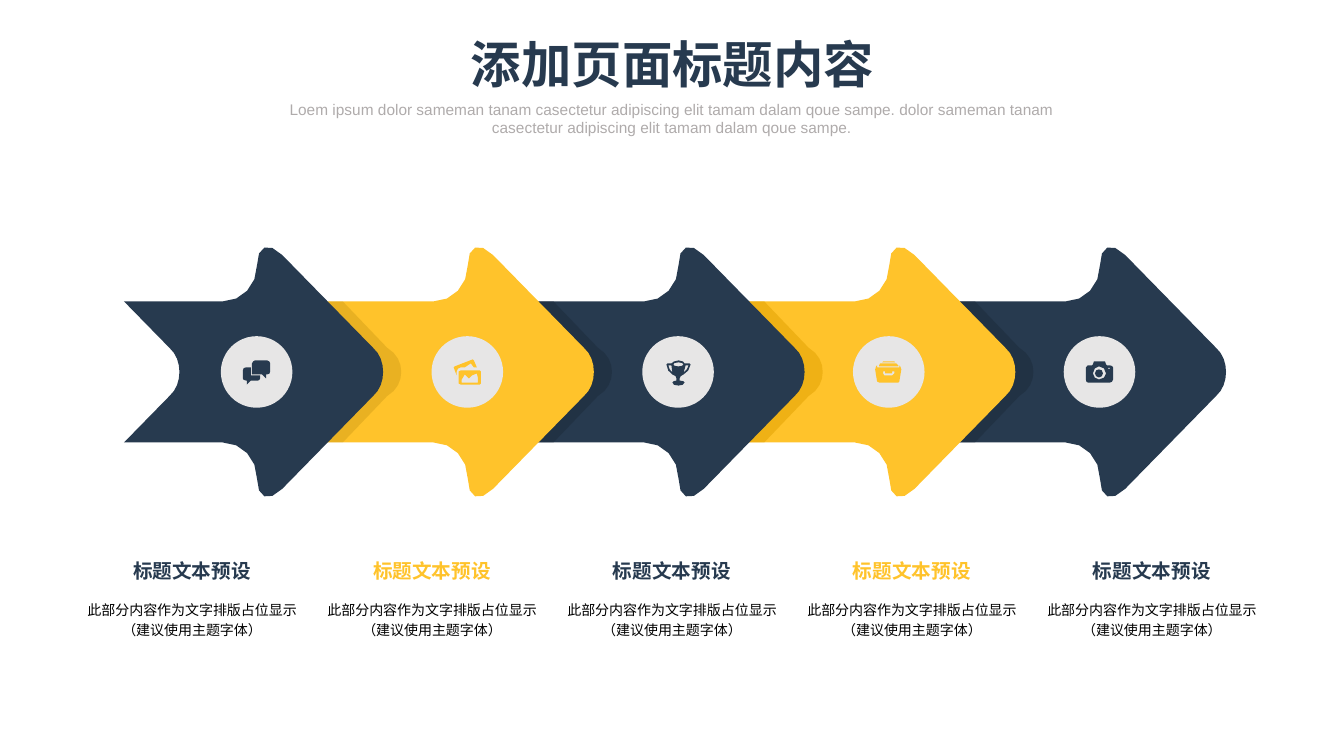
from dataclasses import dataclass
from math import dist

from lxml import etree
from pptx import Presentation
from pptx import util as u
from pptx.dml.color import RGBColor
from pptx.enum import shapes, text
from pptx.oxml.ns import qn


@dataclass(frozen=True)
class Theme:
    font: str = "Arial"
    navy: str = "273A4F"
    amber: str = "FFC32B"
    disc: str = "E7E6E6"
    muted: str = "AFABAB"
    body: str = "000000"
    title_size: int = 36
    intro_size: int = 11
    head_size: int = 14
    body_size: int = 10


THEME = Theme()
WIDTH, HEIGHT = 13.33, 7.5

# Grid: five arrows on a common axis, five caption columns
ARROW_LEFT, ARROW_PITCH, AXIS = 0.82, 2.09, 3.69
DISC_OFFSET, DISC_SIZE = 1.37, 0.71
COLUMN_LEFT, COLUMN_PITCH, COLUMN_WIDTH = 0.79, 2.38, 2.23
HEAD_TOP, HEAD_HEIGHT, BODY_HEIGHT = 5.51, 0.31, 0.63

# Upper half outlines, from tip to tail; a pair is a line, six values a curve
ARROW_HEAD = [(2.98, 0), (2.98, -.09, 2.95, -.18, 2.88, -.24), (1.98, -1.16),
              (1.84, -1.3, 1.73, -1.25, 1.73, -1.06),
              (1.73, -.86, 1.58, -.7, 1.39, -.7)]
ROUND_TAIL = [(.34, -.7), (.15, -.7, 0, -.54, 0, -.35)]
NOTCHED_TAIL = [(.41, -.7), (.86, -.24), (.93, -.18, .96, -.09, .96, 0)]
SHADOW = [(1.07, 0), (1.07, -.09, 1.03, -.18, .93, -.24), (.49, -.7)] + ROUND_TAIL

# Icon contours in hundredths of an inch from the disc's corner
CHAT = [
    [(30, 39), (30, 31), (25, 31), (23, 31, 22, 32, 22, 34), (22, 42),
     (22, 43, 23, 44, 25, 44), (26, 44), (26, 48), (30, 44), (37, 44),
     (38, 44, 39, 43, 39, 42), (39, 39)],
    [(46, 24), (34, 24), (33, 24, 31, 26, 31, 27), (31, 38), (41, 38), (45, 42),
     (45, 38), (46, 38), (48, 38, 49, 37, 49, 35), (49, 27),
     (49, 26, 48, 24, 46, 24)]]
PHOTOS = [
    [(45, 31), (42, 24), (41, 23), (23, 30), (22, 31), (25, 39), (25, 35),
     (25, 33, 27, 31, 29, 31), (33, 31), (39, 27), (42, 31)],
    [(48, 34), (29, 34), (27, 35), (27, 47), (29, 48), (48, 48), (49, 47), (49, 35)],
    [(46, 46), (30, 46), (30, 43), (33, 38), (37, 42), (40, 39), (45, 37), (46, 41)]]
TROPHY = [
    [(37, 42), (37, 40, 39, 39, 41, 38), (44, 36, 48, 33, 48, 28), (47, 27),
     (42, 27), (42, 26, 40, 24, 36, 24), (32, 24, 30, 26, 29, 27), (25, 27),
     (24, 28), (24, 33, 27, 36, 30, 38), (33, 39, 34, 40, 34, 42), (34, 44),
     (32, 44, 30, 45, 30, 46), (30, 48, 32, 49, 36, 49),
     (39, 49, 42, 48, 42, 46), (42, 45, 40, 44, 37, 44)],
    [(41, 36), (42, 34, 42, 32, 43, 29), (46, 29), (46, 32, 43, 34, 41, 36)],
    [(36, 26), (39, 26, 41, 27, 41, 28), (41, 29, 39, 30, 36, 30),
     (32, 30, 31, 29, 31, 28), (31, 27, 32, 26, 36, 26)],
    [(26, 29), (29, 29), (29, 32, 30, 34, 30, 36), (28, 34, 26, 32, 26, 29)]]
DRAWER = [
    [(45, 29), (43, 27), (27, 27), (26, 29), (26, 30), (45, 30)],
    [(41, 25), (30, 25), (29, 26), (42, 26)],
    [(47, 30), (46, 29), (46, 31), (24, 31), (24, 29), (23, 30), (22, 33),
     (24, 45), (26, 46), (45, 46), (46, 45), (48, 33)],
    [(41, 37), (39, 39), (31, 39), (30, 37), (30, 35), (32, 35), (32, 37),
     (39, 37), (39, 35), (41, 35)]]
CAMERA = [
    [(35, 33), (33, 33, 31, 34, 31, 37), (31, 39, 33, 41, 35, 41),
     (37, 41, 39, 39, 39, 37), (39, 34, 37, 33, 35, 33)],
    [(46, 29), (43, 29), (42, 28), (41, 25), (30, 25), (29, 28), (28, 29),
     (24, 29), (22, 31), (22, 43), (22, 45, 23, 46, 24, 46), (46, 46),
     (47, 46, 49, 45, 49, 43), (49, 31), (49, 30, 47, 29, 46, 29)],
    [(35, 43), (32, 43, 29, 40, 29, 37), (29, 33, 32, 30, 35, 30),
     (39, 30, 42, 33, 42, 37), (42, 40, 39, 43, 35, 43)],
    [(45, 33), (44, 32), (45, 31), (46, 32)]]

# Each step: icon, colour, shadow colour, shadow opacity in percent
STEPS = [(CHAT, THEME.navy, None, 0),
         (PHOTOS, THEME.amber, "956B00", 20),
         (TROPHY, THEME.navy, "1D2B3B", 50),
         (DRAWER, THEME.amber, "E0A000", 50),
         (CAMERA, THEME.navy, "1D2B3B", 50)]


def set_all(obj, values):
    for name, value in values.items():
        setattr(obj, name, value)


def trace(contour, steps=4):
    """Turn lines and Bézier curves into a list of points."""
    points = []
    for item in contour:
        if len(item) == 2:
            points.append(item)
            continue
        nodes = [points[-1], item[:2], item[2:4], item[4:]]
        for i in range(1, steps + 1):
            t = i / steps
            weights = ((1 - t) ** 3, 3 * t * (1 - t) ** 2, 3 * t * t * (1 - t), t ** 3)
            points.append(tuple(sum(w * n[axis] for w, n in zip(weights, nodes))
                                for axis in (0, 1)))
    return points


def trace_icon(contour):
    """Trace an icon contour, dropping points too close to tell apart."""
    points = []
    for point in trace(contour, steps=2):
        if not points or dist(point, points[-1]) >= 1:
            points.append(point)
    return points


def mirrored(half):
    top = trace(half)
    return top + [(x, -y) for x, y in reversed(top) if y]


def paint(sp, color, opacity=100):
    sp.shadow.inherit = False
    sp.line.fill.background()
    sp.fill.solid()
    sp.fill.fore_color.rgb = RGBColor.from_string(color)
    if opacity < 100:
        clr = sp.fill._xPr.find(qn("a:solidFill"))[0]
        etree.SubElement(clr, qn("a:alpha"), val=str(opacity * 1000))


def add_outline(slide, contours, left, top, color, unit=1.0, opacity=100):
    placed = [[(u.Inches(left + x * unit), u.Inches(top + y * unit)) for x, y in c]
              for c in contours]
    builder = slide.shapes.build_freeform(*placed[0][0], scale=1.0)
    for i, points in enumerate(placed):
        if i:
            builder.move_to(*points[0])
        builder.add_line_segments(points[1:], close=True)
    paint(builder.convert_to_shape(), color, opacity)


def write(sp, content, size, color, bold=False, spacing=None, **frame):
    tf = sp.text_frame
    set_all(tf, frame)
    p = tf.paragraphs[0]
    set_all(p, {"alignment": text.PP_ALIGN.CENTER, "line_spacing": spacing})
    for i, line in enumerate(content.split("\n")):
        if i:
            p.add_line_break()
        r = p.add_run()
        r.text = line
        set_all(r.font, {"name": THEME.font, "size": u.Pt(size), "bold": bold})
        r.font.color.rgb = RGBColor.from_string(color)


def add_text(slide, box, *args, **kwargs):
    sp = slide.shapes.add_textbox(*map(u.Inches, box))
    write(sp, *args, **kwargs)


def add_header(slide):
    title = slide.shapes.title
    box = (4.55, 0.27, 4.24, 0.71)
    set_all(title, dict(zip(("left", "top", "width", "height"), map(u.Inches, box))))
    write(title, "添加页面标题内容", THEME.title_size, THEME.navy, bold=True, spacing=1.0,
          word_wrap=False, auto_size=text.MSO_AUTO_SIZE.SHAPE_TO_FIT_TEXT)
    add_text(slide, (2.5, 0.94, 8.33, 0.66),
             "Loem ipsum dolor sameman tanam casectetur adipiscing elit tamam dalam "
             "qoue sampe. dolor sameman tanam casectetur adipiscing elit tamam dalam "
             "qoue sampe.", THEME.intro_size, THEME.muted, word_wrap=True)


def add_arrow(slide, index, color, shadow, opacity):
    left = ARROW_LEFT + index * ARROW_PITCH
    tail = ROUND_TAIL if index else NOTCHED_TAIL
    add_outline(slide, [mirrored(ARROW_HEAD + tail)], left, AXIS, color)
    if shadow:
        add_outline(slide, [mirrored(SHADOW)], left, AXIS, shadow, opacity=opacity)


def add_badge(slide, index, icon, color):
    left = ARROW_LEFT + DISC_OFFSET + index * ARROW_PITCH
    top = AXIS - DISC_SIZE / 2
    disc = slide.shapes.add_shape(
        shapes.MSO_SHAPE.OVAL, *map(u.Inches, (left, top, DISC_SIZE, DISC_SIZE)))
    paint(disc, THEME.disc)
    add_outline(slide, [trace_icon(c) for c in icon], left, top, color, unit=0.01)


def add_caption(slide, index, color):
    left = COLUMN_LEFT + index * COLUMN_PITCH
    frame = dict.fromkeys(
        ("margin_left", "margin_top", "margin_right", "margin_bottom"), 0)
    frame["vertical_anchor"] = text.MSO_ANCHOR.MIDDLE
    add_text(slide, (left, HEAD_TOP, COLUMN_WIDTH, HEAD_HEIGHT), "标题文本预设",
             THEME.head_size, color, bold=True, word_wrap=False, **frame)
    add_text(slide, (left, HEAD_TOP + HEAD_HEIGHT, COLUMN_WIDTH, BODY_HEIGHT),
             "此部分内容作为文字排版占位显示\n（建议使用主题字体）",
             THEME.body_size, THEME.body, spacing=1.2, word_wrap=True, **frame)


def main():
    prs = Presentation()
    set_all(prs, {"slide_width": u.Inches(WIDTH), "slide_height": u.Inches(HEIGHT)})
    slide = prs.slides.add_slide(prs.slide_layouts[5])
    add_header(slide)
    # Right to left, so that each arrow overlaps the next one
    for i, (_, color, shadow, opacity) in reversed(list(enumerate(STEPS))):
        add_arrow(slide, i, color, shadow, opacity)
    for i, (icon, color, _, _) in enumerate(STEPS):
        add_badge(slide, i, icon, color)
        add_caption(slide, i, color)
    prs.save("out.pptx")


if __name__ == "__main__":
    main()
